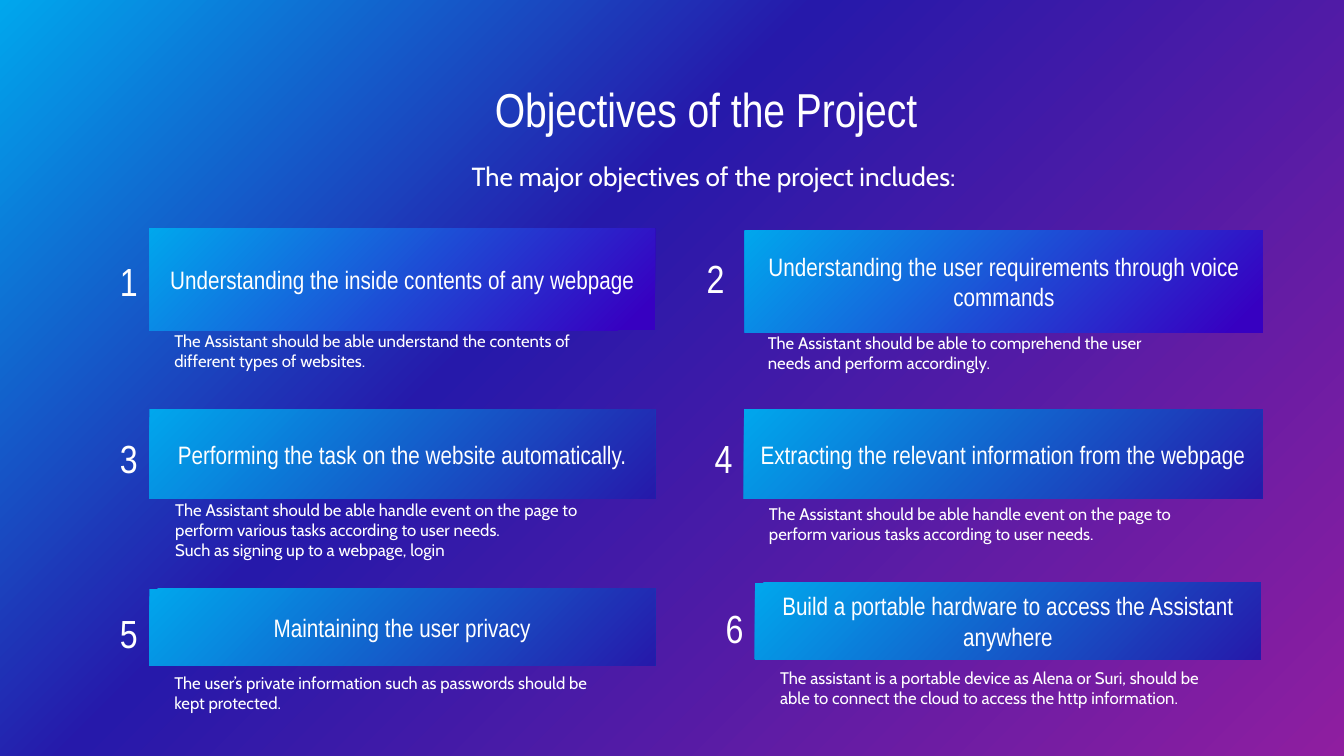
from lxml import etree
from pptx import Presentation
from pptx.dml.color import RGBColor
from pptx.enum import shapes, text
from pptx.oxml import ns
from pptx.util import Pt

HUES = {"sky": "00A7ED", "navy": "2619AA", "plum": "8F1EA0",
        "blue": "3700C1", "white": "FFFFFF"}
HEAD, BODY = "Arial Narrow", "Cabin"
LEFT, MID, JUST = (text.PP_ALIGN.LEFT, text.PP_ALIGN.CENTER,
                   text.PP_ALIGN.JUSTIFY)
TOP, CORE = text.MSO_ANCHOR.TOP, text.MSO_ANCHOR.MIDDLE

# Stops are (percent, hue)
PAGE = [(0, "sky"), (39, "navy"), (100, "plum")]
GLOW = [(0, "sky"), (95, "blue")]
FADE = [(0, "sky"), (100, "navy")]

# Each goal: card box, number place, note place, stops, heading, note lines
GOALS = [
    ((106.6, 163.4, 361.4, 72.7), (85.7, 182.9), (106.6, 230.4), GLOW,
     "Understanding the inside contents of any webpage",
     ["The Assistant should be able understand the contents of",
      "different types of websites."]),
    ((532.1, 164.9, 370.1, 72.7), (504.7, 180.7), (530.6, 231.8), GLOW,
     "Understanding the user requirements through voice commands",
     ["The Assistant should be able to comprehend the user",
      "needs and perform accordingly."]),
    ((106.6, 292.3, 361.4, 64.1), (85.7, 308.9), (107.3, 357.8), FADE,
     "Performing the task on the website automatically.",
     ["The Assistant should be able handle event on the page to",
      "perform various tasks according to user needs.",
      "Such as signing up to a webpage, login"]),
    ((531.4, 292.3, 370.1, 64.1), (510.5, 308.9), (531.4, 353.5), FADE,
     "Extracting the relevant information from the webpage",
     ["The Assistant should be able handle event on the page to",
      "perform various tasks according to user needs."]),
    ((106.6, 420.5, 361.4, 54.7), (85.7, 434.2), (106.6, 474.5), FADE,
     "Maintaining the user privacy",
     ["The user’s private information such as passwords should be",
      "kept protected."]),
    ((539.3, 416.2, 361.4, 54.7), (518.4, 430.6), (539.3, 470.9), FADE,
     "Build a portable hardware to access the Assistant anywhere",
     ["The assistant is a portable device as Alena or Suri, should be",
      "able to connect the cloud to access the http information."]),
]


def blend(fill, owner, stops, corner=False):
    """Fill with a diagonal gradient, or with one that spreads from a corner."""
    fill.gradient()
    grad = next(owner.iter(ns.qn("a:gradFill")))
    for part in list(grad):
        grad.remove(part)
    row = etree.SubElement(grad, ns.qn("a:gsLst"))
    for share, hue in stops:
        stop = etree.SubElement(row, ns.qn("a:gs"), pos=str(share * 1000))
        etree.SubElement(stop, ns.qn("a:srgbClr"), val=HUES[hue])
    if corner:
        way = etree.SubElement(grad, ns.qn("a:path"), path="circle")
        etree.SubElement(way, ns.qn("a:fillToRect"), r="100000", b="100000")
    else:
        etree.SubElement(grad, ns.qn("a:lin"), ang="2700000", scaled="0")


def write(shape, lines, size, font=HEAD, align=LEFT, anchor=CORE,
          inset=0, indent=0):
    frame = shape.text_frame
    frame.word_wrap = True
    frame.vertical_anchor = anchor
    frame.margin_left = frame.margin_right = Pt(inset)
    frame.margin_top = frame.margin_bottom = Pt(inset)
    for i, line in enumerate(lines):
        para = frame.add_paragraph() if i else frame.paragraphs[0]
        para.alignment = align
        if indent:
            para._p.get_or_add_pPr().set("marL", str(Pt(indent)))
        run = para.add_run()
        run.text = line
        run.font.name = font
        run.font.size = Pt(size)
        run.font.color.rgb = RGBColor.from_string(HUES["white"])


def label(slide, box, lines, size, **form):
    write(slide.shapes.add_textbox(*map(Pt, box)), lines, size, **form)


def card(slide, box, stops, head):
    shape = slide.shapes.add_shape(shapes.MSO_SHAPE.RECTANGLE, *map(Pt, box))
    shape.shadow.inherit = False
    shape.line.fill.background()
    blend(shape.fill, shape.element, stops, corner=stops is GLOW)
    write(shape, [head], 18, align=MID)


def main():
    deck = Presentation()
    deck.slide_width, deck.slide_height = Pt(960), Pt(540)
    slide = deck.slides.add_slide(deck.slide_layouts[6])
    blend(slide.background.fill, slide.element, PAGE)

    # Title and lead line
    label(slide, (106.6, 56.9, 795.6, 60.5), ["Objectives of the Project"],
          34, align=MID, anchor=TOP)
    label(slide, (106.6, 105.1, 795.6, 41),
          ["The major objectives of the project includes:"], 18.7,
          font=BODY, align=MID, inset=7.2, indent=10.8)

    # Numbered goals
    for num, (box, spot, base, stops, head, note) in enumerate(GOALS, 1):
        card(slide, box, stops, head)
        label(slide, (*spot, 26.6, 36), [str(num)], 28)
        label(slide, (*base, box[2], 41), note, 12,
              font=BODY, align=JUST, inset=7.2, indent=10.8)

    deck.save("out.pptx")


if __name__ == "__main__":
    main()
